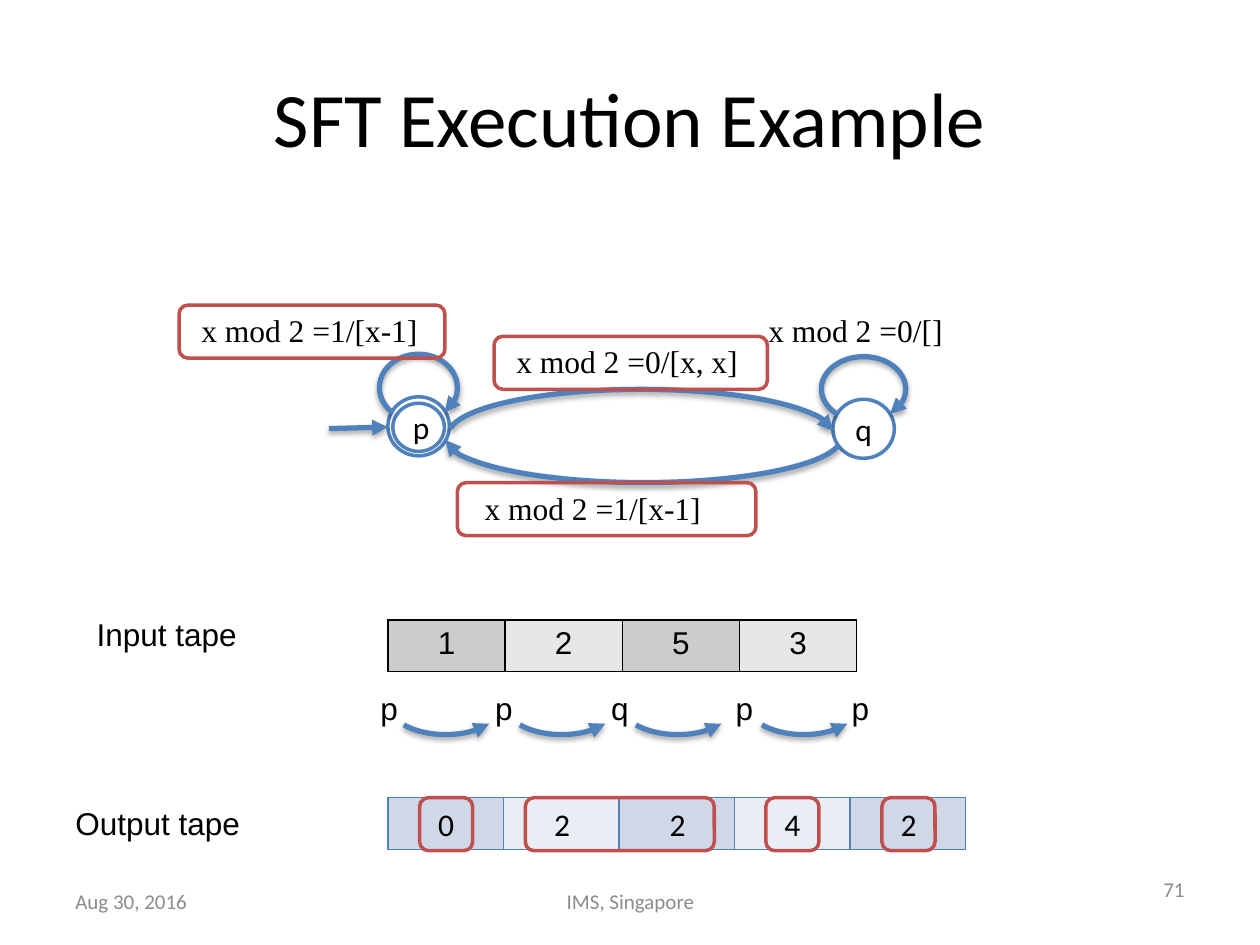
"""Build the slide that runs a symbolic transducer on an input tape."""
from typing import NamedTuple

from pptx import Presentation
from pptx.dml.color import RGBColor
from pptx.enum.shapes import MSO_CONNECTOR, MSO_SHAPE
from pptx.enum.text import MSO_ANCHOR, PP_ALIGN
from pptx.oxml import parse_xml
from pptx.oxml.ns import nsdecls, qn
from pptx.util import Cm, Pt

BLACK = RGBColor(0x00, 0x00, 0x00)
WHITE = RGBColor(0xFF, 0xFF, 0xFF)
GREY = RGBColor(0x8C, 0x8C, 0x8C)
BLUE = RGBColor(0x4F, 0x81, 0xBD)
RED = RGBColor(0xC0, 0x50, 0x4D)
IN_FILLS = RGBColor(0xCC, 0xCC, 0xCC), RGBColor(0xE7, 0xE7, 0xE7)
OUT_FILLS = RGBColor(0xD0, 0xD8, 0xE8), RGBColor(0xE9, 0xED, 0xF4)
SERIF, SANS, BODY = "Times New Roman", "Arial", "Calibri"
LEFT, MID, RIGHT = PP_ALIGN.LEFT, PP_ALIGN.CENTER, PP_ALIGN.RIGHT
TOP, CENTER = MSO_ANCHOR.TOP, MSO_ANCHOR.MIDDLE


class Box(NamedTuple):
    """A place in centimetres."""
    x: float
    y: float
    w: float
    h: float


class Label(NamedTuple):
    """A text with its place and look."""
    text: str
    box: Box
    face: str = SERIF
    size: int = 18
    color: RGBColor = BLACK
    align: PP_ALIGN = LEFT
    anchor: MSO_ANCHOR = TOP
    wrap: bool = True


class Arc(NamedTuple):
    """A curved arrow with its start and end angles."""
    box: Box
    start: float
    end: float
    tip: str = "tailEnd"


class Node(NamedTuple):
    """An outlined shape with an optional text."""
    kind: MSO_SHAPE
    box: Box
    color: RGBColor
    text: str = ""
    fill: RGBColor | None = None


class Tape(NamedTuple):
    """A one-row table."""
    box: Box
    texts: list[str]
    fills: tuple[RGBColor, RGBColor]
    edge: RGBColor


def place(box: Box) -> list[Cm]:
    """Turn a box into lengths."""
    return [Cm(v) for v in box]


def style(frame, face: str, size: int, color: RGBColor, align: PP_ALIGN) -> None:
    """Format every run of a text frame."""
    for para in frame.paragraphs:
        para.alignment = align
        for run in para.runs:
            run.font.name, run.font.size = face, Pt(size)
            run.font.color.rgb = color


def write(slide, label: Label) -> None:
    """Add a text box."""
    frame = slide.shapes.add_textbox(*place(label.box)).text_frame
    frame.text = label.text
    frame.word_wrap, frame.vertical_anchor = label.wrap, label.anchor
    style(frame, label.face, label.size, label.color, label.align)


def point(shape, tip: str) -> None:
    """Give a line its colour, arrowhead and soft shadow."""
    shape.line.color.rgb, shape.line.width = BLUE, Pt(3)
    props = shape._element.spPr
    props.find(qn("a:ln")).append(parse_xml(f'<a:{tip} {nsdecls("a")} type="triangle"/>'))
    props.append(parse_xml(
        f'<a:effectLst {nsdecls("a")}><a:outerShdw blurRad="{Pt(3.1)}" dist="{Pt(1.8)}" '
        'dir="5400000" rotWithShape="0"><a:srgbClr val="000000"><a:alpha val="35000"/>'
        '</a:srgbClr></a:outerShdw></a:effectLst>'))


def bend(slide, arc: Arc) -> None:
    """Add a curved arrow."""
    shape = slide.shapes.add_shape(MSO_SHAPE.ARC, *place(arc.box))
    shape.adjustments[0], shape.adjustments[1] = arc.start, arc.end
    shape.fill.background()
    point(shape, arc.tip)


def draw(slide, node: Node):
    """Add an outlined shape."""
    shape = slide.shapes.add_shape(node.kind, *place(node.box))
    shape.shadow.inherit = False
    shape.line.color.rgb, shape.line.width = node.color, Pt(2)
    if node.fill is None:
        shape.fill.background()
    else:
        shape.fill.solid()
        shape.fill.fore_color.rgb = node.fill
    frame = shape.text_frame
    frame.text, frame.vertical_anchor = node.text, CENTER
    style(frame, BODY, 18, BLACK, MID)
    return shape


def spread(shape, inset: float, gap: float) -> None:
    """Set tabbed text at a fixed pitch from the left."""
    frame = shape.text_frame
    frame.margin_left = Cm(inset)
    para = frame.paragraphs[0]
    para.alignment = LEFT
    para._p.get_or_add_pPr().append(parse_xml(
        f'<a:tabLst {nsdecls("a")}><a:tab pos="{Cm(gap)}" algn="l"/></a:tabLst>'))


def lay(slide, tape: Tape) -> None:
    """Add a tape as a table."""
    table = slide.shapes.add_table(1, len(tape.texts), *place(tape.box)).table
    table.first_row = False
    for i, text in enumerate(tape.texts):
        cell = table.cell(0, i)
        cell.text = text
        style(cell.text_frame, SANS, 18, BLACK, MID)
        props = cell._tc.get_or_add_tcPr()
        for side in "LRTB":
            props.append(parse_xml(
                f'<a:ln{side} {nsdecls("a")} w="{Pt(1)}"><a:solidFill>'
                f'<a:srgbClr val="{tape.edge}"/></a:solidFill></a:ln{side}>'))
        cell.fill.solid()
        cell.fill.fore_color.rgb = tape.fills[i % 2]


def main() -> None:
    """Build and save the slide."""
    deck = Presentation()
    deck.slide_width, deck.slide_height = Cm(25.4), Cm(19.05)
    slide = deck.slides.add_slide(deck.slide_layouts[6])
    oval, frame = MSO_SHAPE.OVAL, MSO_SHAPE.ROUNDED_RECTANGLE

    for label in (
        Label("SFT Execution Example", Box(1.27, 0.76, 22.86, 3.18), BODY, 44, BLACK, MID, CENTER),
        Label("71", Box(18.21, 17.42, 5.92, 1.02), BODY, 12, GREY, RIGHT, CENTER),
        Label("Aug 30, 2016", Box(1.27, 17.65, 5.92, 1.02), BODY, 12, GREY, LEFT, CENTER),
        Label("IMS, Singapore", Box(8.69, 17.65, 8.04, 1.02), BODY, 12, GREY, MID, CENTER),
        Label("x mod 2 =0/[x, x]", Box(10.16, 6.78, 5.51, 1.02)),
        Label("x mod 2 =1/[x-1]", Box(9.52, 9.73, 6.55, 1.02)),
        Label("x mod 2 =0/[]", Box(15.24, 6.15, 4.88, 1.02)),
        Label("x mod 2 =1/[x-1]", Box(3.81, 6.15, 6.78, 1.02)),
        Label("Input tape", Box(1.7, 12.27, 3.81, 1.07), SANS),
        Label("Output tape", Box(1.27, 16.08, 4.65, 1.02), SANS),
    ):
        write(slide, label)

    for node in (
        Node(oval, Box(7.92, 8.13, 1.04, 0.97), BLUE, "p", WHITE),
        Node(oval, Box(7.82, 8, 1.24, 1.19), BLUE),
        Node(oval, Box(16.79, 8.05, 1.24, 1.19), BLUE, "q", WHITE),
    ):
        draw(slide, node)

    for arc in (
        Arc(Box(7.65, 7.14, 1.57, 1.35), 81.89, 26.04),
        Arc(Box(16.56, 7.19, 1.7, 1.3), 81.89, 26.04),
        Arc(Box(9.04, 7.85, 7.77, 1.83), 109.15, 215.32),
        Arc(Box(8.97, 7.9, 8, 1.83), 1.54, 107.53),
    ):
        bend(slide, arc)
    point(slide.shapes.add_connector(
        MSO_CONNECTOR.STRAIGHT, Cm(6.63), Cm(8.64), Cm(7.82), Cm(8.61)), "tailEnd")

    lay(slide, Tape(Box(7.82, 12.5, 9.45, 1.04), list("1253"), IN_FILLS, BLACK))
    for text, x in zip("ppqpp", (7.42, 9.73, 12.07, 14.58, 16.92)):
        write(slide, Label(text, Box(x, 13.77, 0.86, 1.02), SANS, wrap=False))
    for x in (7.82, 10.16, 12.5, 15.04):
        bend(slide, Arc(Box(x, 13.54, 2.33, 1.27), 15.19, 91.52, "headEnd"))

    lay(slide, Tape(Box(7.82, 16.08, 11.64, 1.04), [""] * 5, OUT_FILLS, BLUE))
    for x, y, w in ((3.61, 6.15, 5.36), (9.96, 6.78, 5.51), (9.22, 9.73, 6.02)):
        draw(slide, Node(frame, Box(x, y, w, 1.07), RED))
    for text, x, w in (("0", 8.46, 1.07), ("2\t2", 10.59, 3.81),
                       ("4", 15.44, 1.07), ("2", 17.78, 1.07)):
        shape = draw(slide, Node(frame, Box(x, 16.08, w, 1.07), RED, text))
        if "\t" in text:
            spread(shape, 0.53, 2.33)

    deck.save("out.pptx")


if __name__ == "__main__":
    main()
